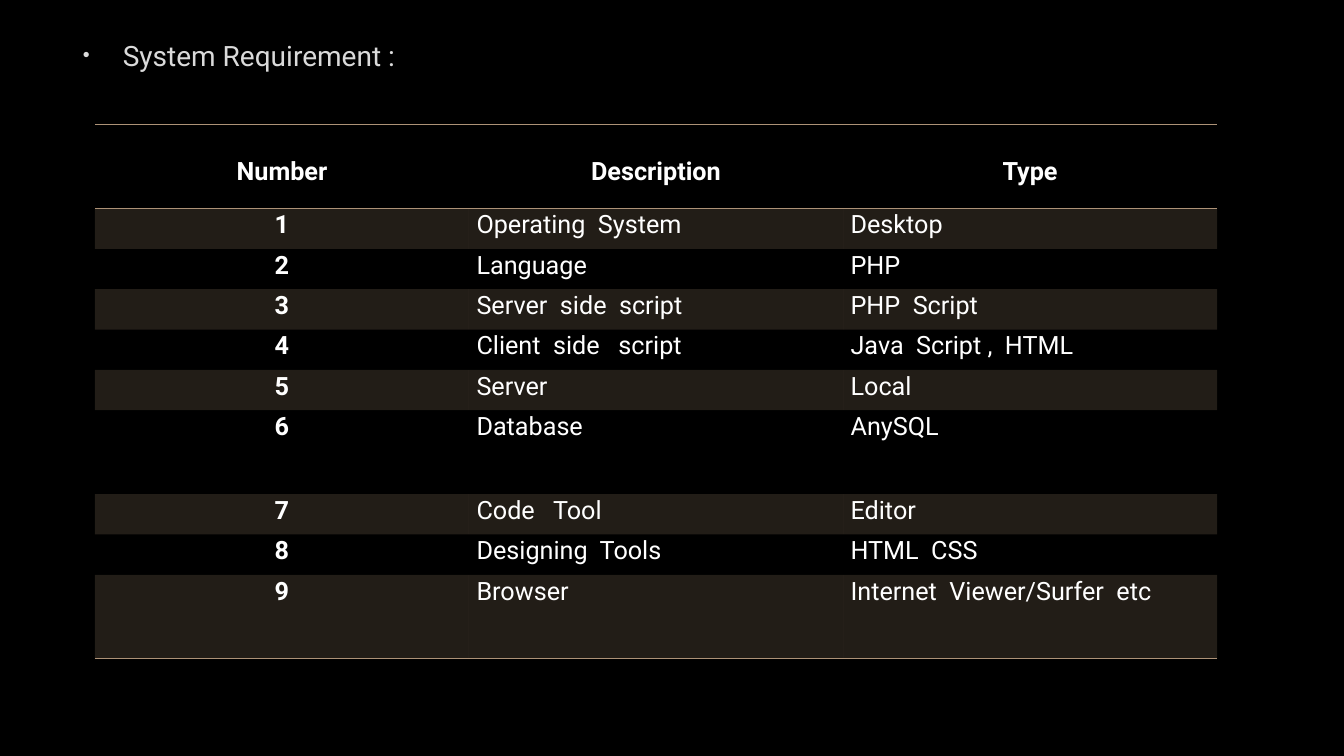
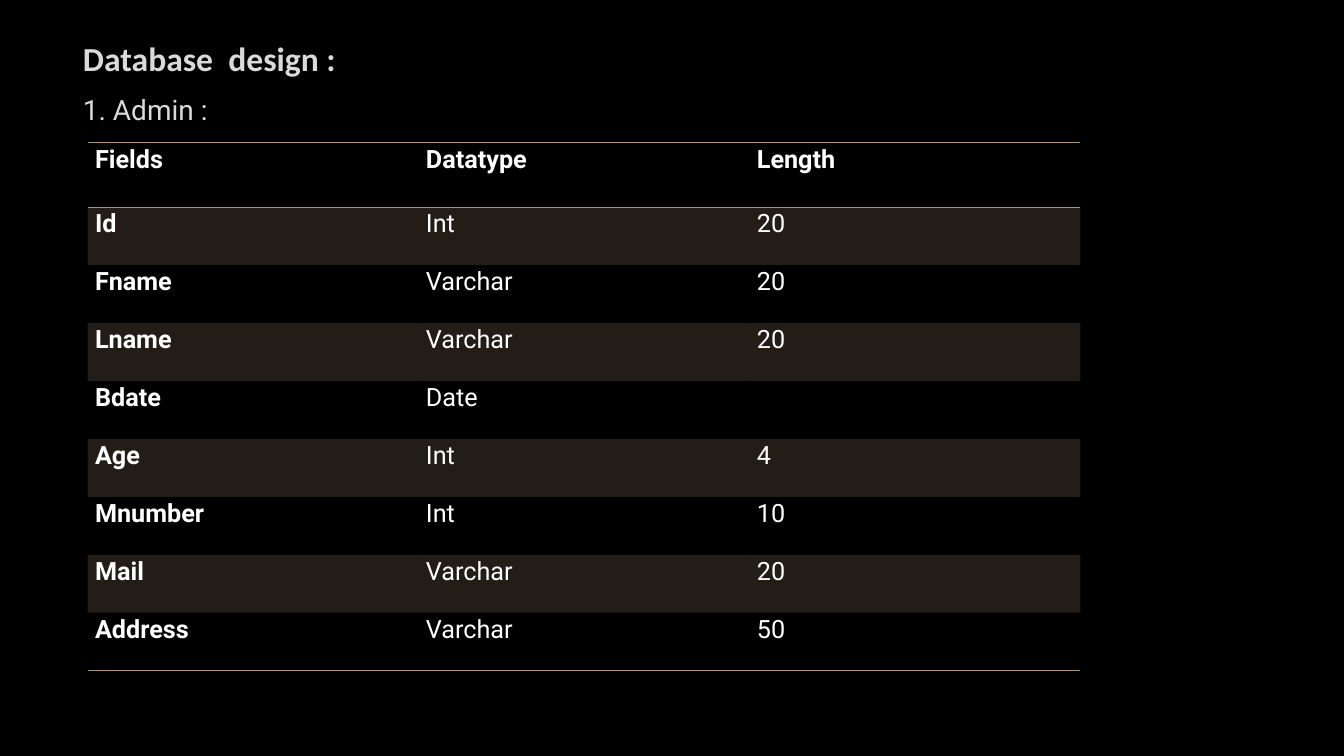
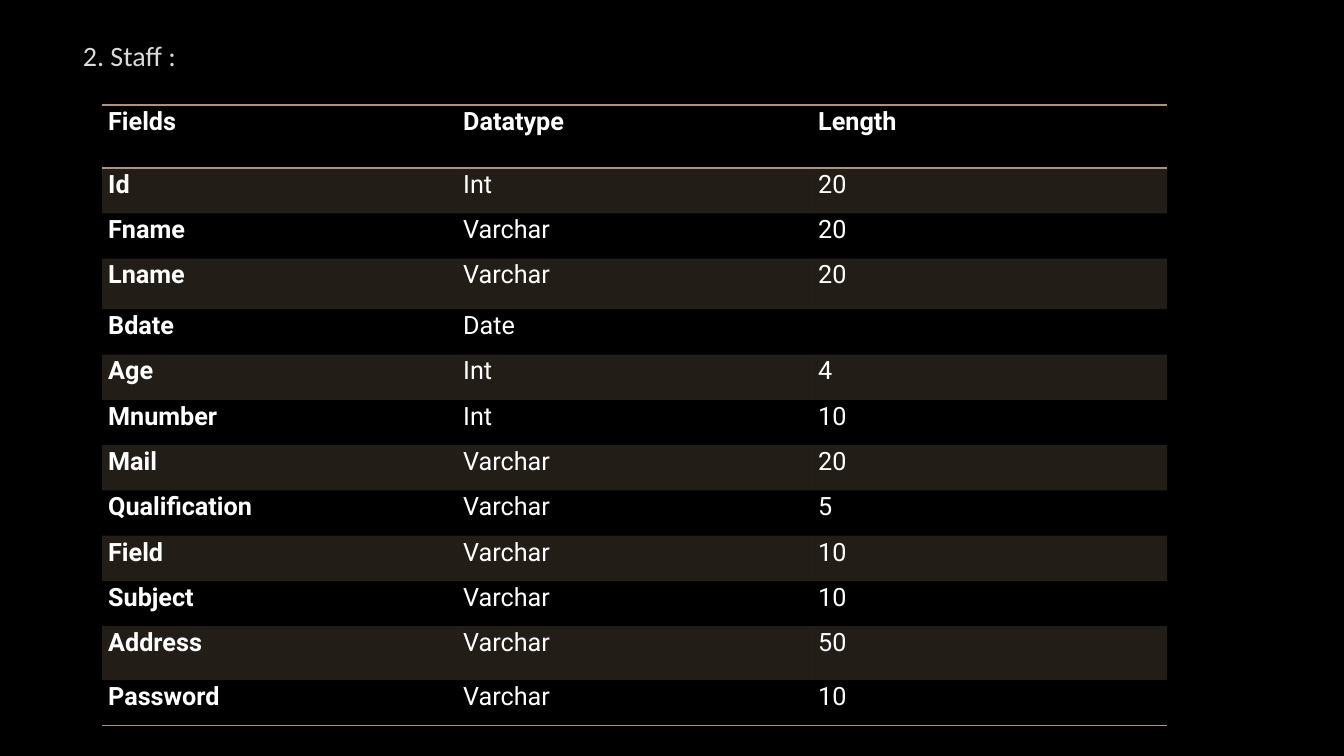
"""Build three dark slides: system requirements and two database tables."""
from lxml.etree import SubElement as Sub
from pptx import Presentation
from pptx.dml.color import RGBColor as RGB
from pptx.enum.text import PP_ALIGN as Align
from pptx.oxml import parse_xml
from pptx.oxml.ns import nsdecls, qn
from pptx.util import Pt

COLORS = {"back": "000000", "head": "DADADA", "text": "FFFFFF", "gold": "AD9277"}
FONT = "Roboto"
PLAIN = "{2D5ABB26-0587-4C30-8999-92F81FD0307C}"
BODY = (49, 23.8, 866, 476)
FIELDS = ("Fields", "Datatype", "Length")
PERSON = [
    ("Id", "Int", "20"),
    ("Fname", "Varchar", "20"),
    ("Lname", "Varchar", "20"),
    ("Bdate", "Date", ""),
    ("Age", "Int", "4"),
    ("Mnumber", "Int", "10"),
    ("Mail", "Varchar", "20"),
]
NEEDS = [
    ("Operating  System", "Desktop"),
    ("Language", "PHP"),
    ("Server  side  script", "PHP  Script"),
    ("Client  side   script", "Java  Script ,  HTML"),
    ("Server", "Local"),
    ("Database", "AnySQL"),
    ("Code   Tool", "Editor"),
    ("Designing  Tools", "HTML  CSS"),
    ("Browser", "Internet  Viewer/Surfer  etc"),
]

SLIDES = [
    {
        "heads": [("System Requirement :", 20, FONT, False, True)],
        "rows": [("Number", "Description", "Type")]
        + [(str(n), *need) for n, need in enumerate(NEEDS, 1)],
        "at": (67.8, 89), "col": 267.2, "inset": 5.4,
        "top": 60, "high": 28.8, "tall": {6: 60, 9: 60},
        "drop": 22, "center": True,
    },
    {
        "heads": [
            ("Database  design :", 24, "Calibri", True, False),
            ("1. Admin :", 20, FONT, False, False),
        ],
        "rows": [FIELDS, *PERSON, ("Address", "Varchar", "50")],
        "at": (62.5, 102), "col": 236.4, "inset": 5.4,
        "top": 46, "high": 41.4, "tall": {},
        "drop": 0, "center": False,
    },
    {
        "heads": [("2. Staff :", 20, "Calibri", False, False)],
        "rows": [
            FIELDS,
            *PERSON,
            ("Qualification", "Varchar", "5"),
            ("Field", "Varchar", "10"),
            ("Subject", "Varchar", "10"),
            ("Address", "Varchar", "50"),
            ("Password", "Varchar", "10"),
        ],
        "at": (73, 75), "col": 253.6, "inset": 4.3,
        "top": 45, "high": 32.35, "tall": {3: 36.2, 11: 38.6},
        "drop": 0, "center": False,
    },
]


def style(par, size, font, color, bold):
    for run in par.runs:
        run.font.size, run.font.name, run.font.bold = Pt(size), font, bold
        run.font.color.rgb = RGB.from_string(COLORS[color])


def add_heads(body, heads):
    frame = body.text_frame
    frame.text = "\n".join(head[0] for head in heads)
    for par, (_, size, font, bold, dot) in zip(frame.paragraphs, heads):
        style(par, size, font, "head", bold)
        par.space_after = Pt(6)
        props = par._p.get_or_add_pPr()
        props.set("marL", str(Pt(31.5 if dot else 3)))
        props.set("indent", str(Pt(-28.5 if dot else 0)))
        if dot:
            tint = Sub(props, qn("a:buClr"))
            Sub(tint, qn("a:srgbClr"), val=COLORS["head"])
            Sub(props, qn("a:buSzPct"), val="70000")
            Sub(props, qn("a:buChar"), char="•")
        else:
            Sub(props, qn("a:buNone"))


def shade(cell, band):
    if not band:
        cell.fill.background()
        return
    cell.fill.solid()
    cell.fill.fore_color.rgb = RGB.from_string(COLORS["gold"])
    tint = cell._tc.tcPr.find(".//" + qn("a:srgbClr"))
    Sub(tint, qn("a:alpha"), val="20000")


def rule(cell, sides):
    for spot, side in enumerate(sides):
        line = parse_xml(
            f'<a:ln{side} {nsdecls("a")} w="{Pt(1)}"><a:solidFill>'
            f'<a:srgbClr val="{COLORS["gold"]}"/></a:solidFill></a:ln{side}>'
        )
        cell._tc.tcPr.insert(spot, line)


def add_grid(slide, data):
    rows, cols = data["rows"], len(data["rows"][0])
    last = len(rows) - 1
    highs = [data["top"]]
    highs += [data["tall"].get(r, data["high"]) for r in range(1, last + 1)]
    left, top = data["at"]
    grid = slide.shapes.add_table(
        len(rows), cols, Pt(left), Pt(top), Pt(data["col"] * cols), Pt(sum(highs))
    ).table
    grid._tbl.tblPr.find(qn("a:tableStyleId")).text = PLAIN
    grid.horz_banding = False
    for col in grid.columns:
        col.width = Pt(data["col"])
    for r, row in enumerate(rows):
        grid.rows[r].height = Pt(highs[r])
        for c, text in enumerate(row):
            cell = grid.cell(r, c)
            cell.text = text
            cell.margin_left = cell.margin_right = Pt(data["inset"])
            cell.margin_top = Pt(0 if r else data["drop"])
            cell.margin_bottom = 0
            par = cell.text_frame.paragraphs[0]
            par.line_spacing = 1.07
            if data["center"] and (r == 0 or c == 0):
                par.alignment = Align.CENTER
            style(par, 18, FONT, "text", r == 0 or c == 0)
            shade(cell, r % 2)
            rule(cell, "TB" if r == 0 else "B" if r == last else "")


def main():
    deck = Presentation()
    deck.slide_width, deck.slide_height = Pt(960), Pt(540)
    back = deck.slide_master.background.fill
    back.solid()
    back.fore_color.rgb = RGB.from_string(COLORS["back"])
    layout = deck.slide_layouts[1]
    base = layout.placeholders[1]
    base.left, base.top, base.width, base.height = map(Pt, BODY)
    for data in SLIDES:
        slide = deck.slides.add_slide(layout)
        title = slide.shapes.title._element
        title.getparent().remove(title)
        add_heads(slide.placeholders[1], data["heads"])
        add_grid(slide, data)
    deck.save("out.pptx")


if __name__ == "__main__":
    main()
